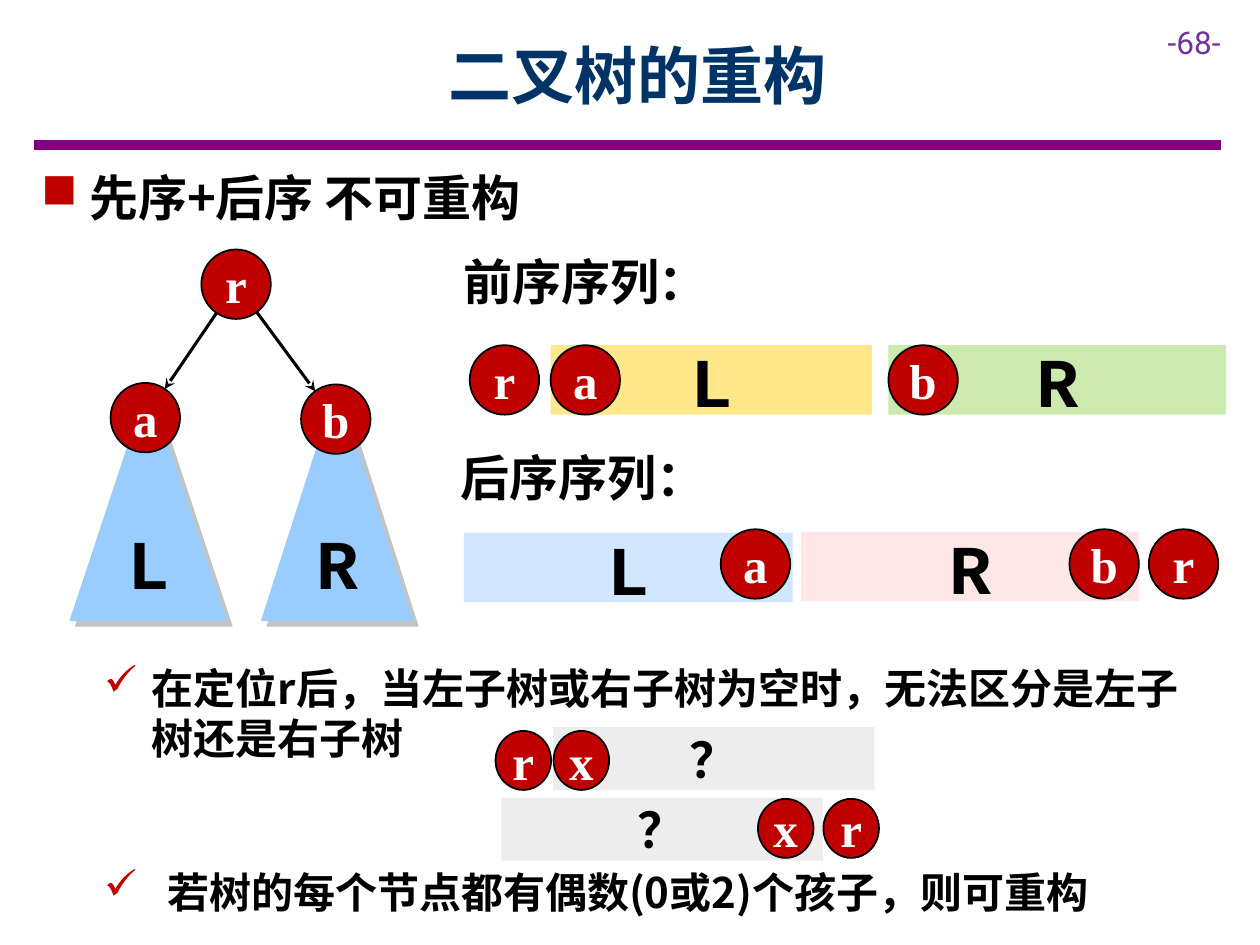
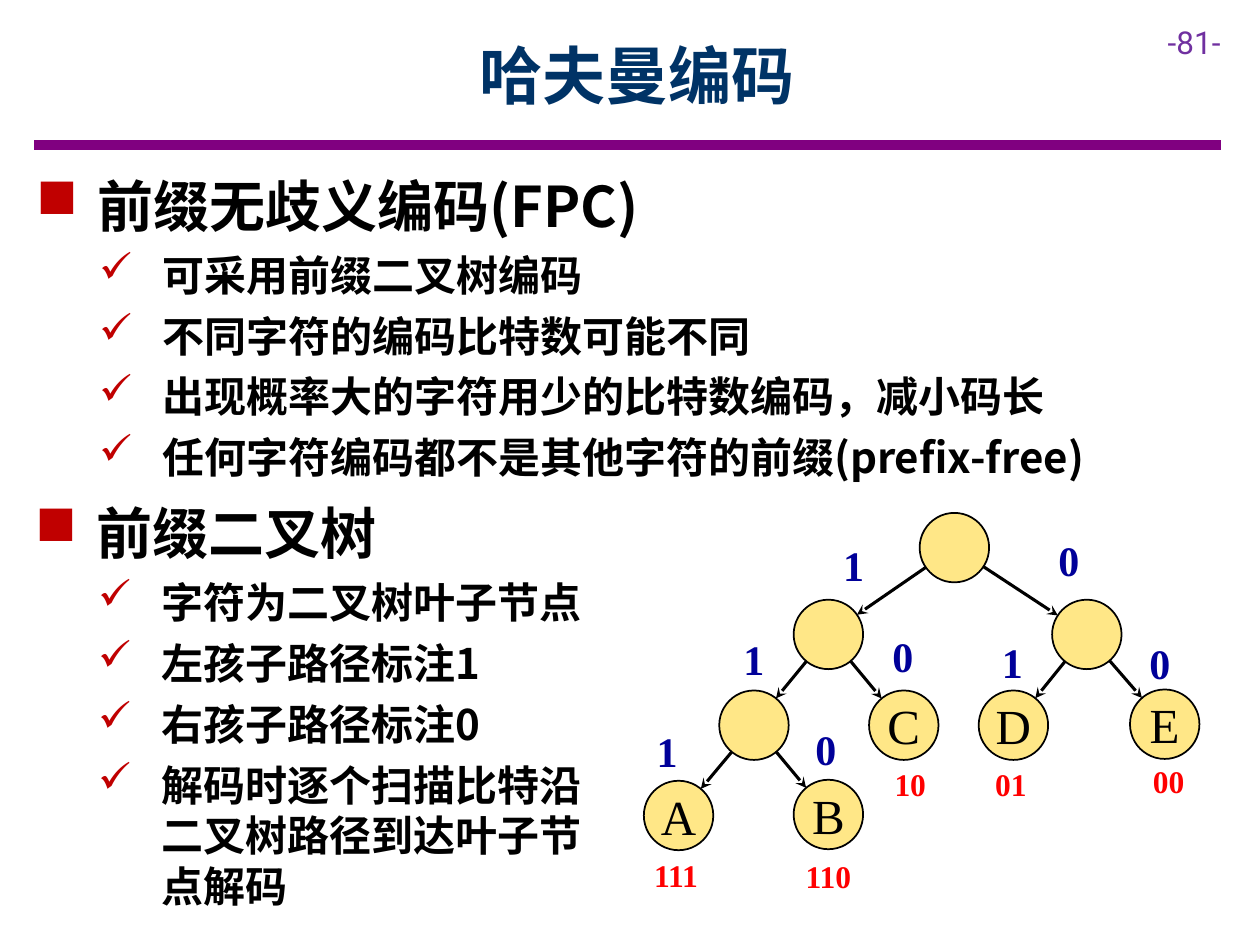
from math import hypot

from lxml import etree
from pptx import Presentation
from pptx.dml.color import RGBColor
from pptx.enum.shapes import MSO_CONNECTOR, MSO_SHAPE
from pptx.enum.text import MSO_ANCHOR, PP_ALIGN
from pptx.oxml.ns import qn
from pptx.util import Cm, Pt

RECT, OVAL, TRIANGLE = MSO_SHAPE.RECTANGLE, MSO_SHAPE.OVAL, MSO_SHAPE.ISOSCELES_TRIANGLE
STRAIGHT = MSO_CONNECTOR.STRAIGHT
LEFT, CENTER = PP_ALIGN.LEFT, PP_ALIGN.CENTER
TOP, MIDDLE = MSO_ANCHOR.TOP, MSO_ANCHOR.MIDDLE

SANS, SERIF, MONO, NUMBER_FONT = "Noto Sans CJK SC", "Times New Roman", "Courier New", "Roboto"
BLACK, WHITE, RED, PURPLE = "000000", "FFFFFF", "C00000", "800080"
NAVY, PAGE_VIOLET, SKY, AMBER = "003366", "7030A0", "99CCFF", "FFCC00"
GREEN, PINK, GREY = "92D050", "FFCCCC", "D9D9D9"
EDGE_BLUE, CODE_RED = "000099", "FF0000"
NODE = 1.4  # diameter of a tree node, cm


def rgb(hex_colour):
    return RGBColor.from_string(hex_colour)


def add_xml(parent, tag, **attributes):
    return etree.SubElement(parent, qn(tag), attributes)


def write(paragraph, text, size=28, font=SANS, colour=BLACK, bold=True,
          align=LEFT, line_spacing=None, space_after=0):
    paragraph.alignment = align
    paragraph.space_after = Pt(space_after)
    if line_spacing:
        paragraph.line_spacing = Pt(line_spacing)
    run = paragraph.add_run()
    run.text = text
    run.font.size, run.font.name, run.font.bold = Pt(size), font, bold
    run.font.color.rgb = rgb(colour)
    add_xml(run.font._element, "a:ea", typeface=SANS)


def text_box(slide, left, top, width, height, anchor=TOP):
    frame = slide.shapes.add_textbox(Cm(left), Cm(top), Cm(width), Cm(height)).text_frame
    frame.word_wrap = True
    frame.vertical_anchor = anchor
    return frame


def centred_label(slide, text, x, y, **style):
    """Short label whose middle lies at x, y."""
    frame = text_box(slide, x - 0.8, y - 0.6, 1.6, 1.2, MIDDLE)
    frame.margin_left = frame.margin_right = 0
    write(frame.paragraphs[0], text, font=SERIF, align=CENTER, **style)


def heading(slide, text, left, top):
    frame = text_box(slide, left, top, 7.32, 1.45)
    write(frame.paragraphs[0], text, line_spacing=33.6)


def bullet_list(slide, left, top, width, height, items):
    """Items are (text, size, symbol, text indent in cm, hanging in cm)."""
    frame = text_box(slide, left, top, width, height)
    for index, (text, size, symbol, indent, hanging) in enumerate(items):
        paragraph = frame.add_paragraph() if index else frame.paragraphs[0]
        properties = paragraph._p.get_or_add_pPr()
        properties.set("marL", str(Cm(indent)))
        properties.set("indent", str(-Cm(hanging)))
        colour = add_xml(properties, "a:buClr")
        add_xml(colour, "a:srgbClr", val=RED)
        add_xml(properties, "a:buChar", char=symbol)
        write(paragraph, text, size=size, line_spacing=size * 1.2, space_after=6)


def check(text, indent=2.54, hanging=1.27):
    return text, 24, "✓", indent, hanging


def shape(slide, kind, left, top, width, height, fill, text="", opacity=100,
          outlined=False, **style):
    item = slide.shapes.add_shape(kind, Cm(left), Cm(top), Cm(width), Cm(height))
    item.shadow.inherit = False
    item.fill.solid()
    item.fill.fore_color.rgb = rgb(fill)
    if opacity < 100:
        colour = item.fill._xPr.find(qn("a:solidFill"))[0]
        add_xml(colour, "a:alpha", val=str(opacity * 1000))
    if outlined:
        item.line.color.rgb = rgb(BLACK)
        item.line.width = Pt(1)
    else:
        item.line.fill.background()
    if text:
        frame = item.text_frame
        frame.vertical_anchor = MIDDLE
        frame.margin_left = frame.margin_right = 0
        write(frame.paragraphs[0], text, align=CENTER, **style)
    return item


def node(slide, x, y, text="", width=NODE, height=NODE, fill=RED, **style):
    """Tree node with its middle at x, y."""
    shape(slide, OVAL, x - width / 2, y - height / 2, width, height, fill, text,
          outlined=True, font=SERIF, **style)


def red_node(slide, x, y, text, **size):
    node(slide, x, y, text, colour=WHITE, **size)


def sequence_bar(slide, left, top, width, height, fill, text, size=40):
    shape(slide, RECT, left, top, width, height, fill, text, opacity=46, size=size, font=MONO)


def subtree(slide, left, width, text):
    triangle = shape(slide, TRIANGLE, left, 7.72, width, 4.8, SKY, text, size=40, font=MONO)
    effects = triangle._element.spPr.find(qn("a:effectLst"))
    shadow = add_xml(effects, "a:outerShdw", dist=str(Pt(4.5)), dir="2700000", algn="ctr")
    colour = add_xml(shadow, "a:srgbClr", val="888888")
    add_xml(colour, "a:alpha", val="50000")


def line(slide, x1, y1, x2, y2, colour, width):
    connector = slide.shapes.add_connector(STRAIGHT, Cm(x1), Cm(y1), Cm(x2), Cm(y2))
    connector.line.color.rgb = rgb(colour)
    connector.line.width = Pt(width)
    add_xml(connector._element.spPr, "a:effectLst")
    return connector


def branch(slide, parent, child):
    """Arrow from the rim of one node to the rim of the next."""
    (x1, y1), (x2, y2) = parent, child
    share = NODE / 2 / hypot(x2 - x1, y2 - y1)
    dx, dy = (x2 - x1) * share, (y2 - y1) * share
    arrow = line(slide, x1 + dx, y1 + dy, x2 - dx, y2 - dy, BLACK, 1.75)
    add_xml(arrow.line._get_or_add_ln(), "a:tailEnd", type="stealth")


def new_slide(deck, title, number):
    slide = deck.slides.add_slide(deck.slide_layouts[6])
    line(slide, 0.69, 2.92, 24.61, 2.92, PURPLE, 6)
    page = text_box(slide, 23.29, 0.33, 2.11, 1.02)
    write(page.paragraphs[0], f"-{number}-", size=18, font=NUMBER_FONT,
          colour=PAGE_VIOLET, bold=False)
    title_frame = text_box(slide, 2.29, 0.23, 21.11, 2.54, MIDDLE)
    write(title_frame.paragraphs[0], title, size=36, colour=NAVY, align=CENTER)
    return slide


def reconstruction_slide(deck):
    slide = new_slide(deck, "二叉树的重构", 68)
    bullet_list(slide, 0.58, 3.25, 23.6, 1.5, [("先序+后序 不可重构", 28, "■", 0.97, 0.97)])
    bullet_list(slide, 0.58, 13.23, 23.6, 2.5,
                [check("在定位r后，当左子树或右子树为空时，无法区分是左子树还是右子树", 2.23, 0.96)])
    bullet_list(slide, 0.58, 17.35, 23.6, 1.4,
                [check("若树的每个节点都有偶数(0或2)个孩子，则可重构")])

    subtree(slide, 5.26, 3.07, "R")
    subtree(slide, 1.4, 3.18, "L")
    tree = {"r": (4.76, 5.73), "a": (2.93, 8.42), "b": (6.77, 8.45)}
    for name, centre in tree.items():
        red_node(slide, *centre, name)
    for child in "ab":
        branch(slide, tree["r"], tree[child])

    heading(slide, "前序序列：", 9.09, 4.95)
    sequence_bar(slide, 11.1, 6.96, 6.48, NODE, AMBER, "L")
    sequence_bar(slide, 17.91, 6.96, 6.81, NODE, GREEN, "R")
    for name, x in (("r", 10.17), ("a", 11.8), ("b", 18.61)):
        red_node(slide, x, 7.66, name)

    heading(slide, "后序序列：", 9.04, 8.89)
    sequence_bar(slide, 9.35, 10.74, 6.63, NODE, SKY, "L")
    sequence_bar(slide, 16.15, 10.72, 6.81, NODE, PINK, "R")
    for name, x in (("a", 15.23), ("b", 22.26), ("r", 23.86)):
        red_node(slide, x, 11.37, name)

    ambiguous_rows = (
        (11.15, 14.66, 15.33, (("r", 10.55), ("x", 11.72))),
        (10.11, 16.08, 16.7, (("r", 17.16), ("x", 15.84))),
    )
    for left, top, middle, names in ambiguous_rows:
        sequence_bar(slide, left, top, 6.48, 1.27, GREY, "？", size=28)
        for name, x in names:
            red_node(slide, x, middle, name, width=1.12, height=1.19)


def huffman_slide(deck):
    slide = new_slide(deck, "哈夫曼编码", 81)
    bullet_list(slide, 0.48, 3.33, 24.74, 6.58, [
        ("前缀无歧义编码(FPC)", 32, "■", 1.23, 1.23),
        check("可采用前缀二叉树编码"),
        check("不同字符的编码比特数可能不同"),
        check("出现概率大的字符用少的比特数编码，减小码长"),
        check("任何字符编码都不是其他字符的前缀(prefix-free)"),
    ])
    bullet_list(slide, 0.46, 9.93, 11.81, 8.64, [
        ("前缀二叉树", 32, "■", 1.23, 1.23),
        check("字符为二叉树叶子节点"),
        check("左孩子路径标注1"),
        check("右孩子路径标注0"),
        check("解码时逐个扫描比特沿二叉树路径到达叶子节点解码"),
    ])

    # Each node is keyed by its code: centre, then letter for a leaf
    tree = {
        "": (19.24, 11.04, ""),
        "1": (16.7, 12.79, ""),
        "0": (21.91, 12.79, ""),
        "11": (15.2, 14.62, ""),
        "10": (18.22, 14.62, "C"),
        "01": (20.43, 14.62, "D"),
        "00": (23.48, 14.6, "E"),
        "111": (13.68, 16.44, "A"),
        "110": (16.7, 16.42, "B"),
    }
    bit_centres = {
        "1": (17.21, 11.38), "0": (21.55, 11.28),
        "11": (15.2, 13.28), "10": (18.2, 13.21),
        "01": (20.41, 13.34), "00": (23.38, 13.36),
        "111": (13.45, 15.14), "110": (16.65, 15.09),
    }
    code_centres = {
        "111": (13.63, 17.63), "110": (16.7, 17.65), "10": (18.35, 15.8),
        "01": (20.38, 15.8), "00": (23.56, 15.75),
    }
    for x, y, letter in tree.values():
        node(slide, x, y, letter, fill=AMBER, opacity=47, bold=False)
    for code, centre in bit_centres.items():
        branch(slide, tree[code[:-1]][:2], tree[code][:2])
        centred_label(slide, code[-1], *centre, size=24, colour=EDGE_BLUE)
    for code, centre in code_centres.items():
        centred_label(slide, code, *centre, size=18, colour=CODE_RED)


def main():
    deck = Presentation()
    deck.slide_width, deck.slide_height = Cm(25.4), Cm(19.05)
    reconstruction_slide(deck)
    huffman_slide(deck)
    deck.save("out.pptx")


if __name__ == "__main__":
    main()
